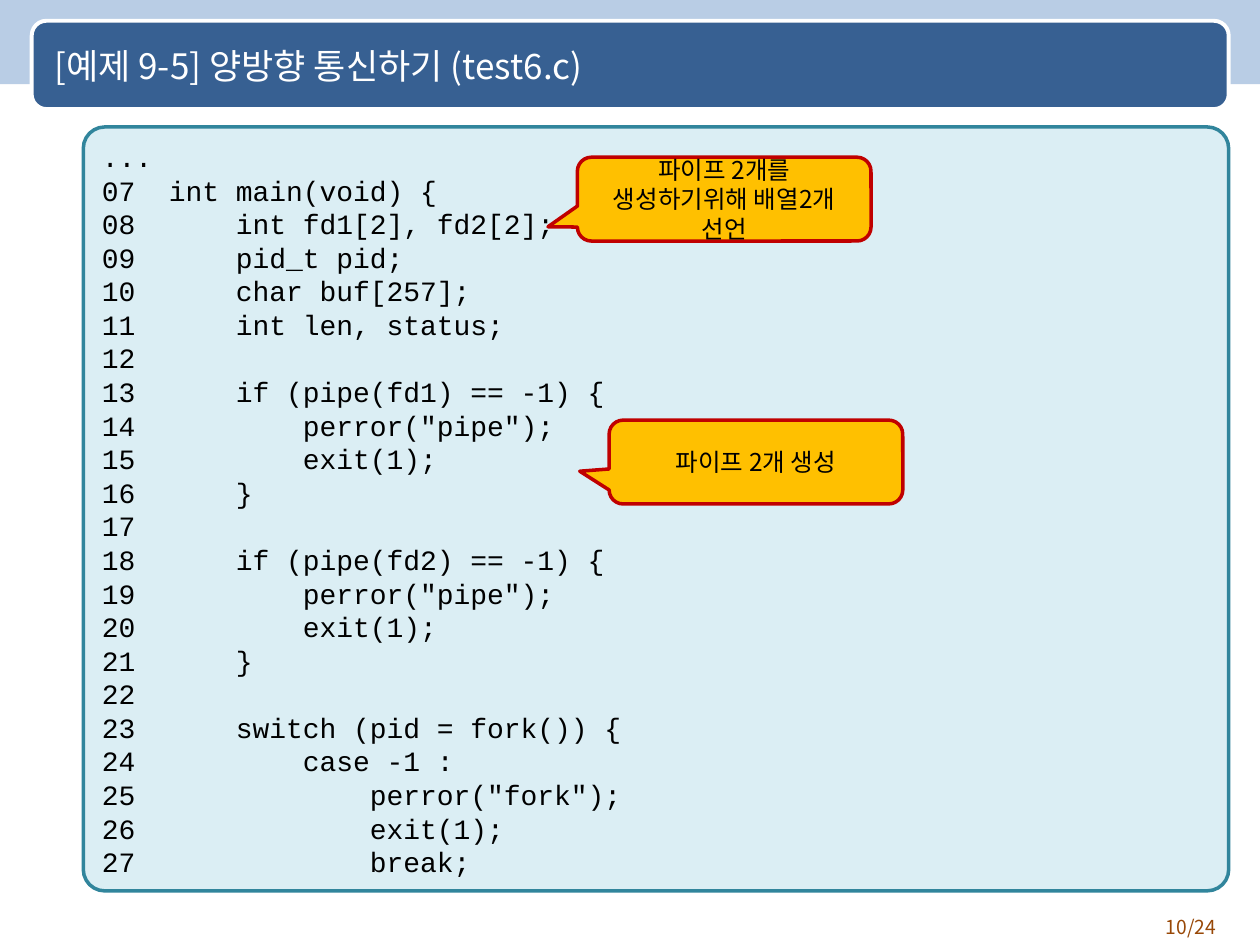
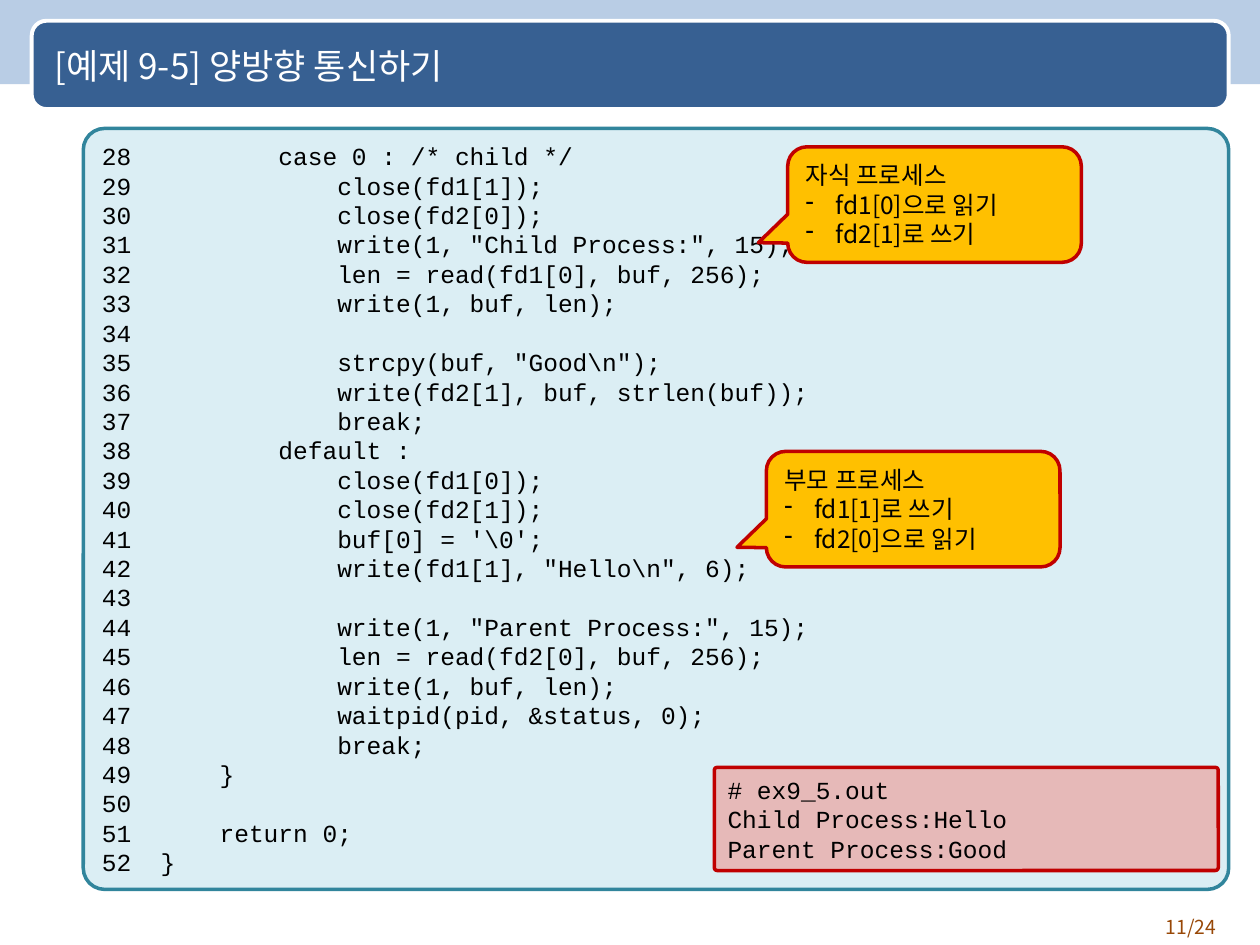
"""Build two slides that walk through a two-way pipe example in C."""
from lxml.etree import SubElement
from pptx import Presentation
from pptx.dml.color import RGBColor
from pptx.enum.shapes import MSO_SHAPE as Preset
from pptx.enum.text import MSO_ANCHOR as Anchor, MSO_AUTO_SIZE as AutoSize, PP_ALIGN as Align
from pptx.oxml.ns import qn
from pptx.util import Cm, Pt

COLORS = {
    "sky": "B9CDE5", "navy": "376092", "white": "FFFFFF", "black": "000000",
    "ice": "DBEEF4", "teal": "31859C", "amber": "FFC000", "red": "C00000",
    "rose": "E6B9B8", "brown": "984807",
}
KOREAN, MONO = "Noto Sans CJK KR", "Courier New"
LAST_PAGE = 24
CALLOUT_WIDTH = 5.92

DECLARATIONS = r"""...
07  int main(void) {
08      int fd1[2], fd2[2];
09      pid_t pid;
10      char buf[257];
11      int len, status;
12
13      if (pipe(fd1) == -1) {
14          perror("pipe");
15          exit(1);
16      }
17
18      if (pipe(fd2) == -1) {
19          perror("pipe");
20          exit(1);
21      }
22
23      switch (pid = fork()) {
24          case -1 :
25              perror("fork");
26              exit(1);
27              break;"""

PROCESSES = r"""28          case 0 : /* child */
29              close(fd1[1]);
30              close(fd2[0]);
31              write(1, "Child Process:", 15);
32              len = read(fd1[0], buf, 256);
33              write(1, buf, len);
34
35              strcpy(buf, "Good\n");
36              write(fd2[1], buf, strlen(buf));
37              break;
38          default :
39              close(fd1[0]);
40              close(fd2[1]);
41              buf[0] = '\0';
42              write(fd1[1], "Hello\n", 6);
43
44              write(1, "Parent Process:", 15);
45              len = read(fd2[0], buf, 256);
46              write(1, buf, len);
47              waitpid(pid, &status, 0);
48              break;
49      }
50
51      return 0;
52  }"""

OUTPUT = """# ex9_5.out
Child Process:Hello
Parent Process:Good"""

PAGES = [
    {
        "number": 10, "title": "[예제 9-5] 양방향 통신하기 (test6.c)",
        "code": DECLARATIONS, "code_size": 16, "code_box": (1.68, 2.56, 23.09, 15.4),
        "callouts": [
            (11.64, 3.17, 1.69, (-0.6, 0.33), "파이프 2개를 생성하기위해 배열2개 선언", []),
            (12.28, 8.47, 1.69, (-0.6, 0.11), "파이프 2개 생성", []),
        ],
    },
    {
        "number": 11, "title": "[예제 9-5] 양방향 통신하기",
        "code": PROCESSES, "code_size": 14, "code_box": (1.68, 2.59, 23.09, 15.34),
        "callouts": [
            (15.88, 2.96, 2.33, (-0.6, 0.33), "자식 프로세스",
             ["fd1[0]으로 읽기", "fd2[1]로 쓰기"]),
            (15.45, 9.1, 2.33, (-0.6, 0.33), "부모 프로세스",
             ["fd1[1]로 쓰기", "fd2[0]으로 읽기"]),
        ],
        "output": OUTPUT, "output_box": (14.4, 15.47, 10.16, 2.08),
    },
]


def rgb(name):
    return RGBColor.from_string(COLORS[name])


def add_panel(slide, preset, box, fill, line=None, width=2, adjust=()):
    panel = slide.shapes.add_shape(preset, *map(Cm, box))
    panel.shadow.inherit = False
    panel.fill.solid()
    panel.fill.fore_color.rgb = rgb(fill)
    if line:
        panel.line.color.rgb = rgb(line)
        panel.line.width = Pt(width)
    else:
        panel.line.fill.background()
    for index, value in enumerate(adjust):
        panel.adjustments[index] = value
    return panel


def add_dash(paragraph):
    props = paragraph._p.get_or_add_pPr()
    indent = Cm(0.6)
    props.set("marL", str(indent))
    props.set("indent", str(-indent))
    color = SubElement(props, qn("a:buClr"))
    SubElement(color, qn("a:srgbClr"), val=COLORS["black"])
    SubElement(props, qn("a:buFontTx"))
    SubElement(props, qn("a:buChar"), char="-")


def write(shape, lines, size, typeface, color, align, dashed_from=None, pitch=None):
    frame = shape.text_frame
    frame.word_wrap = True
    frame.auto_size = AutoSize.NONE
    frame.vertical_anchor = Anchor.MIDDLE
    for index, line in enumerate(lines):
        paragraph = frame.paragraphs[0] if index == 0 else frame.add_paragraph()
        paragraph.alignment = align
        if pitch:
            paragraph.line_spacing = Pt(size * pitch)
        if dashed_from is not None and index >= dashed_from:
            add_dash(paragraph)
        run = paragraph.add_run()
        run.text = line
        run.font.size = Pt(size)
        run.font.name = typeface
        run.font.color.rgb = rgb(color)
        SubElement(run.font._element, qn("a:ea"), typeface=typeface)


def add_listing(slide, box, text, size, fill, line):
    listing = add_panel(slide, Preset.ROUNDED_RECTANGLE, box, fill, line, adjust=[0.028])
    write(listing, text.splitlines(), size, MONO, "black", Align.JUSTIFY, pitch=1.2)


def add_callout(slide, left, top, height, tip, heading, points):
    callout = add_panel(slide, Preset.ROUNDED_RECTANGULAR_CALLOUT,
                        (left, top, CALLOUT_WIDTH, height), "amber", "red",
                        adjust=[*tip, 0.167])
    write(callout, [heading, *points], 14, KOREAN, "black",
          Align.LEFT if points else Align.CENTER, dashed_from=1, pitch=1.2)


def add_bands(slide):
    """Draw the header bands and hand them to the slide's layout."""
    bands = [
        add_panel(slide, Preset.RECTANGLE, (-0.03, 0, 25.45, 1.7), "sky"),
        add_panel(slide, Preset.ROUNDED_RECTANGLE, (0.64, 0.42, 24.13, 1.78),
                  "navy", "white", 2.25),
    ]
    layout_title = slide.slide_layout.placeholders[0]
    for band in bands:
        layout_title.element.addprevious(band.element)


def add_page(slide, page):
    title = slide.shapes.title
    title.left, title.top, title.width, title.height = map(Cm, (0.84, 0.48, 23.5, 1.7))
    write(title, [page["title"]], 20, KOREAN, "white", Align.LEFT)
    add_listing(slide, page["code_box"], page["code"], page["code_size"], "ice", "teal")
    for callout in page["callouts"]:
        add_callout(slide, *callout)
    if "output" in page:
        add_listing(slide, page["output_box"], page["output"], 14, "rose", "red")
    footer = slide.shapes.add_textbox(*map(Cm, (22.66, 18.31, 2.11, 0.74)))
    write(footer, [f"{page['number']}/{LAST_PAGE}"], 11, KOREAN, "brown", Align.RIGHT)


def main():
    deck = Presentation()
    deck.slide_width, deck.slide_height = Cm(25.4), Cm(19.05)
    title_only = deck.slide_layouts[5]
    slides = [deck.slides.add_slide(title_only) for _ in PAGES]
    add_bands(slides[0])
    for slide, page in zip(slides, PAGES):
        add_page(slide, page)
    deck.save("out.pptx")


if __name__ == "__main__":
    main()
